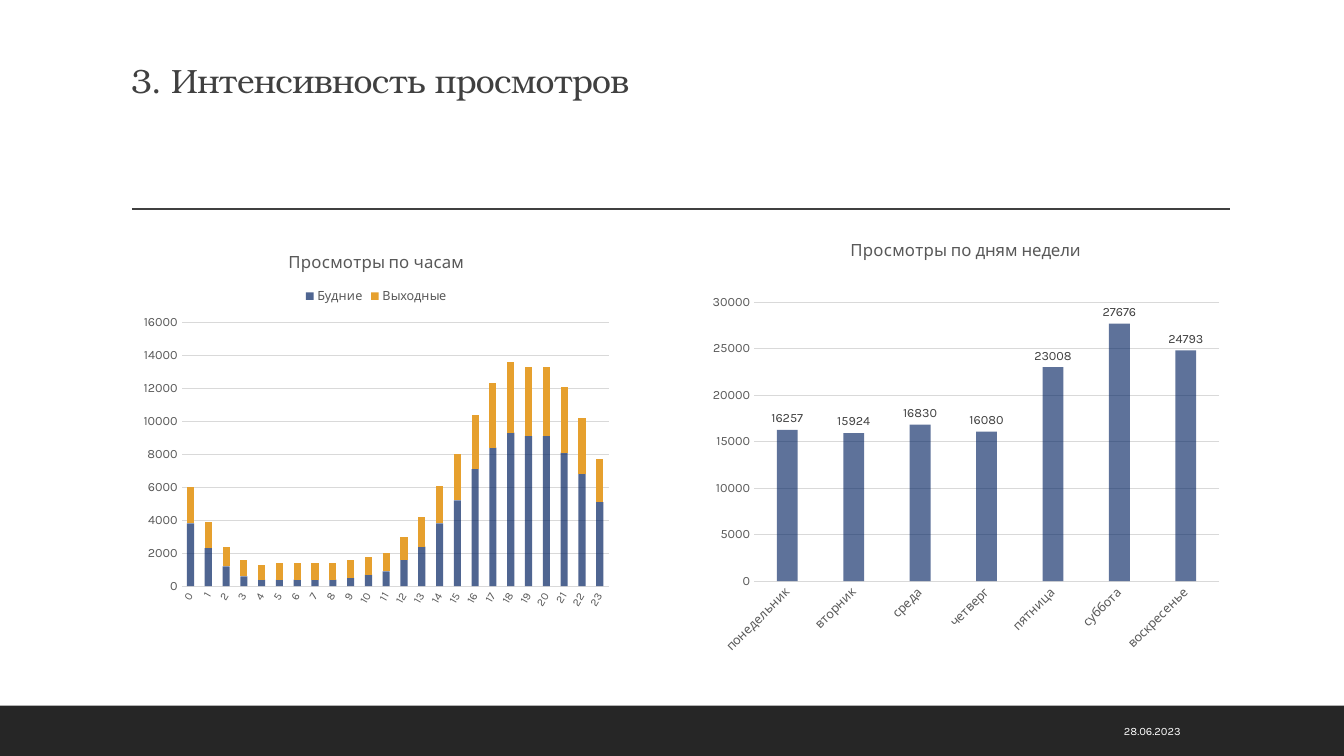
from lxml import etree
from pptx import Presentation
from pptx import util as u
from pptx.chart.data import CategoryChartData
from pptx.dml.color import RGBColor
from pptx.enum import chart as ch, shapes, text
from pptx.oxml import parse_xml
from pptx.oxml.ns import nsdecls, qn

Pt = u.Pt
COLORS = {"footer": "262626", "ink": "404040", "label": "595959", "grid": "D9D9D9",
          "navy": "002060", "amber": "E6A02E", "white": "FFFFFF"}
BODY, HEADING = "Karla", "TeX Gyre Bonum"

HOURS = [str(hour) for hour in range(24)]
WEEKDAYS = (3800, 2300, 1200, 600, 400, 400, 400, 400, 400, 500, 700, 900,
            1600, 2400, 3800, 5200, 7100, 8400, 9300, 9100, 9100, 8100, 6800, 5100)
WEEKENDS = (2200, 1600, 1200, 1000, 900, 1000, 1000, 1000, 1000, 1100, 1100, 1100,
            1400, 1800, 2300, 2800, 3300, 3900, 4300, 4200, 4200, 4000, 3400, 2600)
DAYS = ["понедельник", "вторник", "среда", "четверг", "пятница", "суббота", "воскресенье"]
DAY_VIEWS = (16257, 15924, 16830, 16080, 23008, 27676, 24793)


def color(name):
    return RGBColor.from_string(COLORS[name])


def style_font(font, size, name, face=BODY):
    font.size, font.name, font.bold = Pt(size), face, False
    font.color.rgb = color(name)


def set_layout(element, index, box, place):
    """Place a chart part, given in points from the corner of the chart box."""
    for old in element.findall(qn("c:layout")):
        element.remove(old)
    layout = parse_xml(f"<c:layout {nsdecls('c')}><c:manualLayout/></c:layout>")
    manual = layout[0]
    if len(place) == 4:
        etree.SubElement(manual, qn("c:layoutTarget")).set("val", "inner")
    for key in "xy":
        etree.SubElement(manual, qn(f"c:{key}Mode")).set("val", "edge")
    for key, value, whole in zip("xywh", place, box[2:] * 2):
        etree.SubElement(manual, qn(f"c:{key}")).set("val", str(value / whole))
    element.insert(index, layout)


def add_title(page, box, words):
    title = page.shapes.title
    title.left, title.top, title.width, title.height = map(Pt, box)
    frame = title.text_frame
    frame.auto_size = text.MSO_AUTO_SIZE.NONE
    frame.vertical_anchor = text.MSO_ANCHOR.BOTTOM
    para = frame.paragraphs[0]
    para.alignment, para.line_spacing = text.PP_ALIGN.LEFT, 0.9
    span = para.add_run()
    span.text = words
    style_font(span.font, 24, "ink", HEADING)
    span.font._element.set("spc", "-50")


def add_rule(page, left, right, top):
    rule = page.shapes.add_connector(shapes.MSO_CONNECTOR.STRAIGHT,
                                     Pt(left), Pt(top), Pt(right), Pt(top))
    rule.line.color.rgb, rule.line.width = color("ink"), Pt(1)
    etree.SubElement(rule._element.spPr, qn("a:effectLst"))


def add_footer(page, box, date):
    left, top, width, height = box
    band = page.shapes.add_shape(shapes.MSO_SHAPE.RECTANGLE, *map(Pt, box))
    band.shadow.inherit = False
    band.fill.solid()
    band.fill.fore_color.rgb = color("footer")
    band.line.fill.background()
    label = page.shapes.add_textbox(Pt(left + width - 313.5), Pt(top + 3.6), Pt(204), Pt(height - 7.2))
    frame = label.text_frame
    frame.word_wrap = True
    frame.vertical_anchor = text.MSO_ANCHOR.MIDDLE
    para = frame.paragraphs[0]
    para.alignment, para.space_after = text.PP_ALIGN.RIGHT, Pt(6)
    span = para.add_run()
    span.text = date
    style_font(span.font, 8, "white")


def style_axes(chart, top, step, category_size, turn):
    for axis, size in ((chart.category_axis, category_size), (chart.value_axis, 9)):
        axis.major_tick_mark = axis.minor_tick_mark = ch.XL_TICK_MARK.NONE
        style_font(axis.tick_labels.font, size, "label")
    categories = chart.category_axis
    line = categories.format.line
    line.color.rgb, line.width = color("grid"), Pt(0.75)
    body = categories._element.find(f"{qn('c:txPr')}/{qn('a:bodyPr')}")
    body.set("rot", str(-turn * 60000))
    views = chart.value_axis
    views.minimum_scale, views.maximum_scale, views.major_unit = 0, top, step
    views.format.line.fill.background()
    grid = views.major_gridlines.format.line
    grid.color.rgb, grid.width = color("grid"), Pt(0.75)


def add_columns(page, box, kind, heading, heading_at, categories, series, gap, overlap,
                axes, plot_at):
    """Add a column chart; series holds (name, values, color, opacity in percent)."""
    data = CategoryChartData()
    data.categories = categories
    for name, values, _, _ in series:
        data.add_series(name, values)
    chart = page.shapes.add_chart(kind, *map(Pt, box), data).chart
    style_font(chart.font, 10, "label")
    chart.has_title, chart.has_legend = True, False
    span = chart.chart_title.text_frame.paragraphs[0].add_run()
    span.text = heading
    style_font(span.font, 12, "label")
    set_layout(chart.chart_title._element, 1, box, heading_at)
    style_axes(chart, *axes)
    plot = chart.plots[0]
    plot.gap_width, plot.overlap, plot.vary_by_categories = gap, overlap, False
    for bars, (_, _, name, opacity) in zip(plot.series, series):
        bars.format.fill.solid()
        bars.format.fill.fore_color.rgb = color(name)
        if opacity < 100:
            tint = bars._element.spPr.find(f".//{qn('a:srgbClr')}")
            etree.SubElement(tint, qn("a:alpha")).set("val", str(opacity * 1000))
    set_layout(chart._chartSpace.chart.plotArea, 0, box, plot_at)
    return chart


def add_hourly_chart(page, box):
    chart = add_columns(
        page, box, ch.XL_CHART_TYPE.COLUMN_STACKED, "Просмотры по часам", (108, 8.8), HOURS,
        [("Будние", WEEKDAYS, "navy", 69), ("Выходные", WEEKENDS, "amber", 100)],
        150, 100, (16000, 2000, 8, 60), (33.9, 62.4, 305.1, 188.6))
    chart.has_legend = True
    legend = chart.legend
    legend.position, legend.include_in_layout = ch.XL_LEGEND_POSITION.TOP, False
    style_font(legend.font, 9, "label")
    set_layout(legend._element, 1, box, (119.8, 35.6))


def add_daily_chart(page, box):
    chart = add_columns(
        page, box, ch.XL_CHART_TYPE.COLUMN_CLUSTERED, "Просмотры по дням недели", (104.2, 9.7),
        DAYS, [("Просмотры", DAY_VIEWS, "navy", 63)],
        219, -27, (30000, 5000, 9, 45), (37.5, 57.4, 332.2, 199.4))
    labels = chart.plots[0].series[0].data_labels
    labels.show_value, labels.position = True, ch.XL_LABEL_POSITION.OUTSIDE_END
    style_font(labels.font, 9, "ink")


def main():
    deck = Presentation()
    deck.slide_width, deck.slide_height = Pt(960), Pt(540)
    page = deck.slides.add_slide(deck.slide_layouts[5])
    add_footer(page, (0, 504, 960, 36), "28.06.2023")
    add_rule(page, 94.3, 878.6, 149.3)
    add_title(page, (86.4, 30.2, 792, 45.4), "3. Интенсивность просмотров")
    add_hourly_chart(page, (95.8, 167.8, 345.6, 273.6))
    add_daily_chart(page, (501.1, 158.4, 377.3, 315.4))
    deck.save("out.pptx")


if __name__ == "__main__":
    main()
